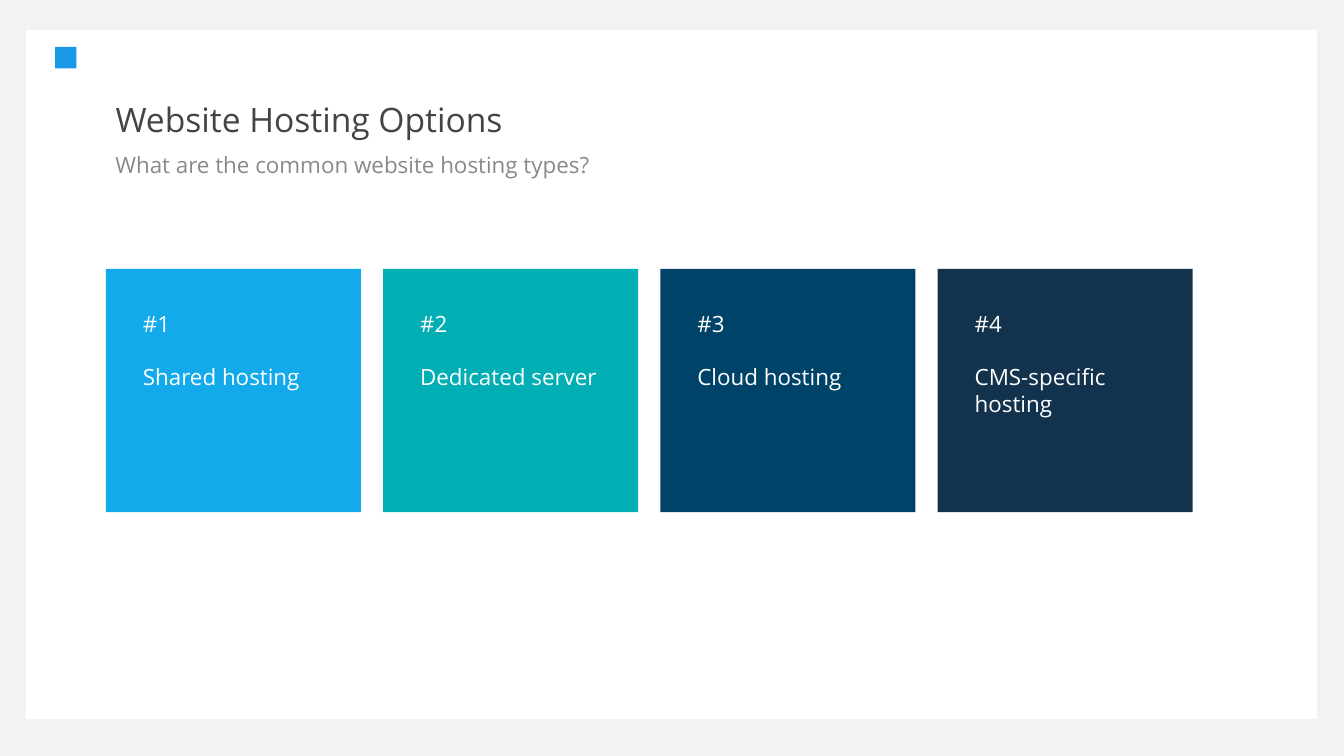
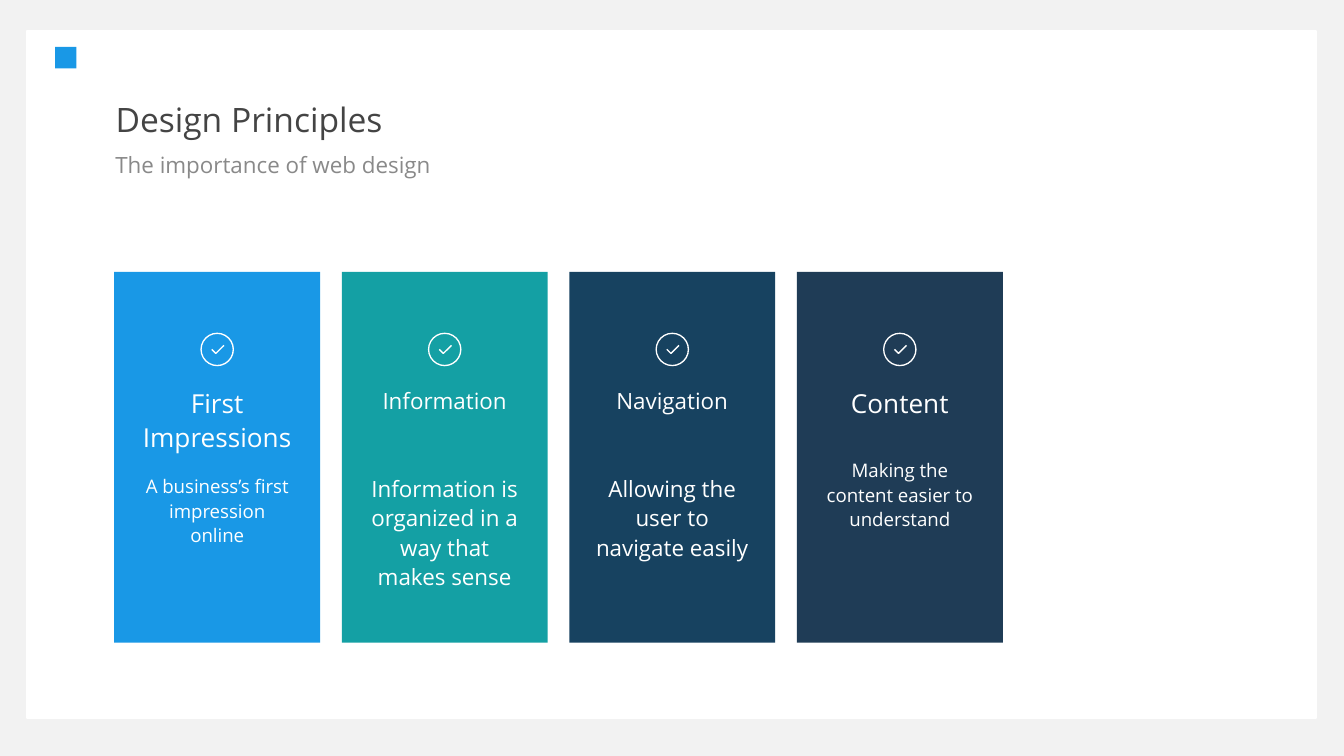
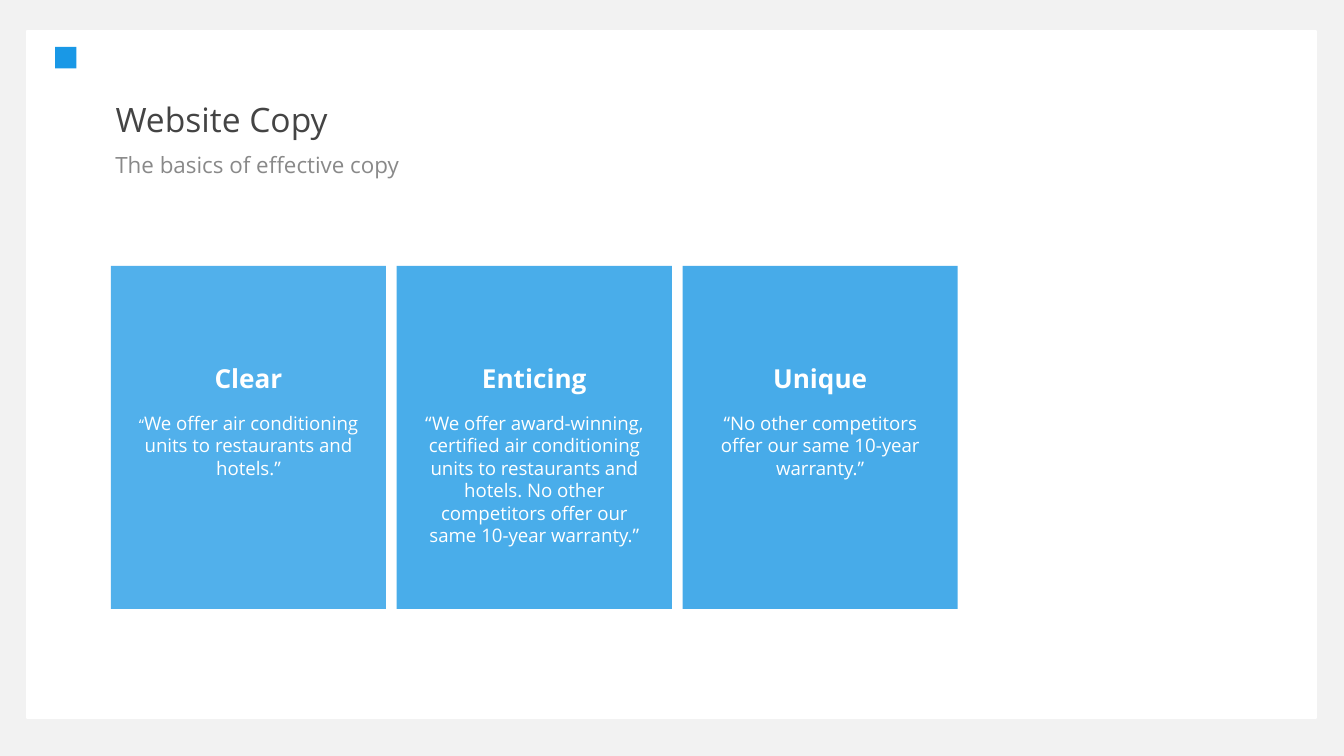
import pptx
import pptx.util
import pptx.dml.color
import pptx.enum.shapes
import pptx.enum.text
import pptx.oxml
import pptx.oxml.ns

Pt = pptx.util.Pt
SHAPE = pptx.enum.shapes.MSO_SHAPE
ALIGN = pptx.enum.text.PP_ALIGN
ANCHOR = pptx.enum.text.MSO_ANCHOR

# Shared style
FONT = "Open Sans"
COLORS = {
    "page": "F2F2F2", "white": "FFFFFF", "title": "444444", "subtitle": "898989",
    "accent": "1998E6", "sky": "12AAEB", "turquoise": "00AEB3", "ocean": "004369",
    "night": "13324D", "teal": "14A0A4", "denim": "174260", "slate": "1F3C56",
    "azure": "30A2E8", "light_azure": "47ABE9",
}
COLS, ROWS = 100, 56.25  # square grid cells on a 16:9 slide


def rgb(name):
    return pptx.dml.color.RGBColor.from_string(COLORS[name])


class Deck:
    def __init__(self):
        self.prs = pptx.Presentation()
        self.prs.slide_width = pptx.util.Inches(10)
        self.prs.slide_height = self.prs.slide_width * 9 // 16
        self.cell_w = self.prs.slide_width / COLS
        self.cell_h = self.prs.slide_height / ROWS
        self.paint(self.prs.slide_master.background.fill, "page")
        self.s = None

    def x(self, cols):
        return round(cols * self.cell_w)

    def y(self, rows):
        return round(rows * self.cell_h)

    def box(self, x, y, w, h):
        return self.x(x), self.y(y), self.x(w), self.y(h)

    def paint(self, fill, color, opacity=100):
        fill.solid()
        fill.fore_color.rgb = rgb(color)
        if opacity < 100:
            clr = fill._xPr.find(".//" + pptx.oxml.ns.qn("a:srgbClr"))
            clr.append(pptx.oxml.parse_xml(
                f'<a:alpha {pptx.oxml.ns.nsdecls("a")} val="{opacity * 1000}"/>'))

    def slide(self, title, subtitle):
        self.s = self.prs.slides.add_slide(self.prs.slide_layouts[5])
        # White panel behind everything
        panel = self.shape(SHAPE.RECTANGLE, (2, 2.3, 95.9, 51.1), "white")
        panel.line.color.rgb = rgb("white")
        panel.line.width = Pt(1)
        self.s.shapes._spTree.insert(2, panel._element)
        # Title, subtitle and corner marker
        heading = self.s.shapes.title
        heading.left, heading.top, heading.width, heading.height = self.box(7.6, 7.5, 71.4, 3.1)
        heading.text_frame.vertical_anchor = ANCHOR.MIDDLE
        self.heading_text(heading.text_frame, title, 18, "title")
        sub = self.s.shapes.add_textbox(*self.box(7.6, 11, 71.5, 3.6))
        self.heading_text(sub.text_frame, subtitle, 12, "subtitle")
        self.shape(SHAPE.RECTANGLE, (4.1, 3.5, 1.6, 1.6), "accent")

    def heading_text(self, tf, text, size, color):
        tf.word_wrap = True
        tf.auto_size = pptx.enum.text.MSO_AUTO_SIZE.NONE
        self.paragraph(tf.paragraphs[0], [(text, size, False)], color, spacing=0.9)

    def shape(self, kind, box, color, opacity=100):
        sp = self.s.shapes.add_shape(kind, *self.box(*box))
        sp.shadow.inherit = False
        self.paint(sp.fill, color, opacity)
        sp.line.fill.background()
        return sp

    def paragraph(self, p, runs, color="white", align=ALIGN.LEFT, spacing=1.0, gap=0):
        p.alignment = align
        p.line_spacing = spacing
        p.space_before = Pt(gap)
        for text, size, bold in runs:
            r = p.add_run()
            r.text = text
            r.font.name = FONT
            r.font.size = Pt(size)
            r.font.bold = bold
            r.font.color.rgb = rgb(color)

    def card(self, kind, box, color, head, body, gap, side, top,
             align=ALIGN.CENTER, spacing=1.0, opacity=100):
        sp = self.shape(kind, box, color, opacity)
        if kind == SHAPE.ROUNDED_RECTANGLE:
            sp.adjustments[0] = 0
        tf = sp.text_frame
        tf.word_wrap = True
        tf.vertical_anchor = ANCHOR.TOP
        tf.margin_left = tf.margin_right = self.x(side)
        tf.margin_top, tf.margin_bottom = self.y(top), self.y(1)
        self.paragraph(tf.paragraphs[0], [head], align=align, spacing=spacing)
        self.paragraph(tf.add_paragraph(), body, align=align, spacing=spacing, gap=gap)

    def check_icon(self, cx, cy, size=2.5):
        ring = self.shape(SHAPE.DONUT, (cx - size / 2, cy - size / 2, size, size), "white")
        ring.adjustments[0] = 0.04
        points = [(self.x(cx + dx), self.y(cy + dy))
                  for dx, dy in ((-0.4, 0), (-0.1, 0.3), (0.5, -0.3))]
        fb = self.s.shapes.build_freeform(*points[0])
        fb.add_line_segments(points[1:], close=False)
        tick = fb.convert_to_shape()
        tick.shadow.inherit = False
        tick.fill.background()
        tick.line.color.rgb = rgb("white")
        tick.line.width = Pt(0.75)


def hosting_options(deck):
    deck.slide("Website Hosting Options", "What are the common website hosting types?")
    options = [("Shared hosting", "sky"), ("Dedicated server", "turquoise"),
               ("Cloud hosting", "ocean"), ("CMS-specific hosting", "night")]
    for i, (name, color) in enumerate(options):
        deck.card(SHAPE.ROUNDED_RECTANGLE, (7.88 + i * 20.63, 20, 18.97, 18.1), color,
                  (f"#{i + 1}", 12, False), [(name, 12, False)], gap=14,
                  side=2.75, top=3.1, align=ALIGN.LEFT)


def design_principles(deck):
    deck.slide("Design Principles", "The importance of web design")
    # heading, its size, text, its size, gap between, colour
    principles = [
        ("First Impressions", 14, "A business’s first impression online", 10, 10.5, "accent"),
        ("Information", 12, "Information is organized in a way that makes sense", 12, 31.5, "teal"),
        ("Navigation", 12, "Allowing the user to navigate easily", 12, 31.5, "denim"),
        ("Content", 14, "Making the content easier to understand", 10, 20.5, "slate"),
    ]
    left, width, pitch = 8.5, 15.32, 16.93
    for i, (head, head_size, body, body_size, gap, color) in enumerate(principles):
        x = left + i * pitch
        deck.card(SHAPE.ROUNDED_RECTANGLE, (x, 20.23, width, 27.6), color,
                  (head, head_size, False), [(body, body_size, False)], gap,
                  side=1.95, top=8.35, spacing=1.1)
        deck.check_icon(x + width / 2, 26)


def website_copy(deck):
    deck.slide("Website Copy", "The basics of effective copy")
    examples = [
        ("Clear", "azure", 84,
         [("“", 8, False),
          ("We offer air conditioning units to restaurants and hotels.”", 10, False)]),
        ("Enticing", "azure", 88,
         [("“We offer award-winning, certified air conditioning units to restaurants and "
           "hotels. No other competitors offer our same 10-year warranty.”", 10, False)]),
        ("Unique", "light_azure", 100,
         [("“No other competitors offer our same 10-year warranty.”", 10, False)]),
    ]
    for i, (head, color, opacity, quote) in enumerate(examples):
        deck.card(SHAPE.RECTANGLE, (8.25 + i * 21.27, 19.78, 20.47, 25.53), color,
                  (head, 14, True), quote, gap=9.5, side=2, top=7.2, opacity=opacity)


def main():
    deck = Deck()
    hosting_options(deck)
    design_principles(deck)
    website_copy(deck)
    deck.prs.save("out.pptx")


if __name__ == "__main__":
    main()
